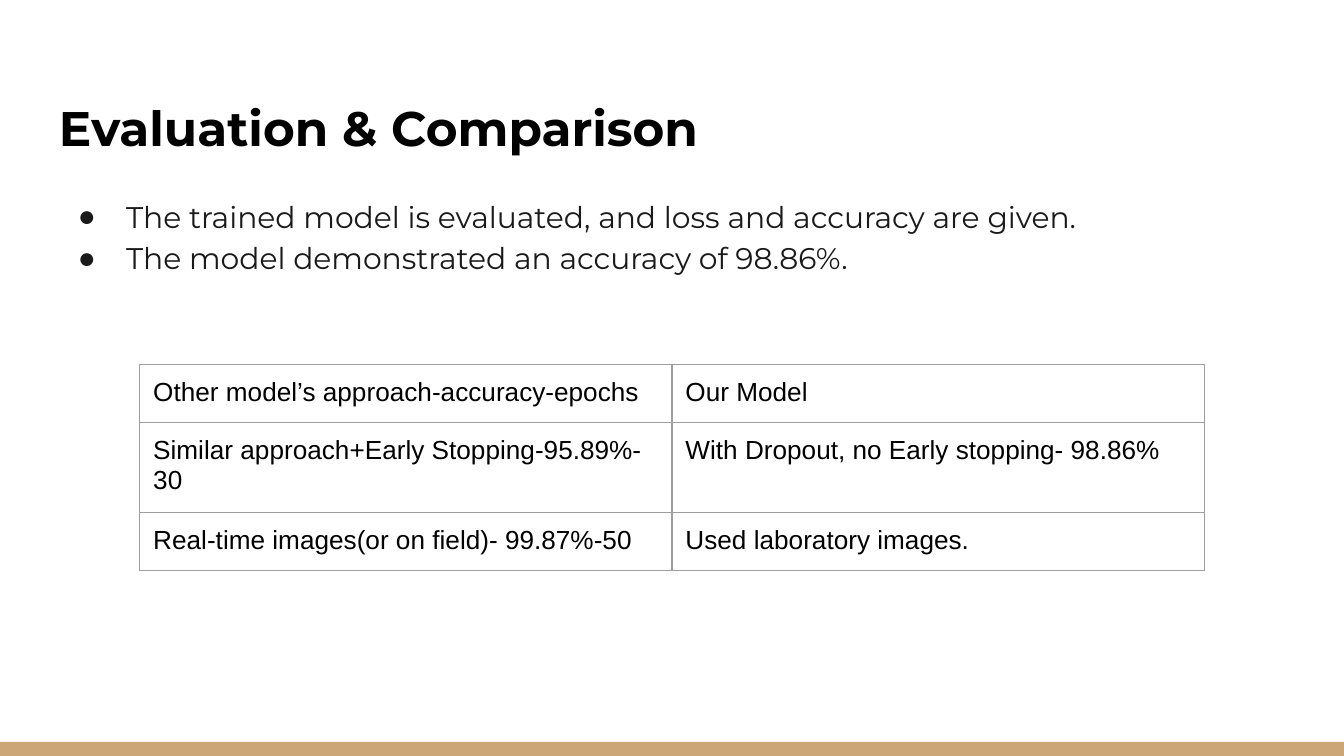
import pptx
import pptx.dml.color
import pptx.enum.shapes
import pptx.enum.text
import pptx.oxml
import pptx.oxml.ns
import pptx.util
from pptx.util import Inches

NAMESPACE = pptx.oxml.ns.nsdecls("a")
INSET = Inches(0.1)

BULLETS = [
    "The trained model is evaluated, and loss and accuracy are given.",
    "The model demonstrated an accuracy of 98.86%.",
]
COMPARISON = [
    ("Other model’s approach-accuracy-epochs", "Our Model"),
    ("Similar approach+Early Stopping-95.89%-30", "With Dropout, no Early stopping- 98.86%"),
    ("Real-time images(or on field)- 99.87%-50", "Used laboratory images."),
]
# Minimum heights: rows grow to fit their text
ROW_HEIGHTS = [0.22, 0.42, 0.42]


def color(value):
    return pptx.dml.color.RGBColor.from_string(value)


def write(paragraph, text, size, font="Montserrat", fill="000000", bold=False, spacing=None):
    paragraph.line_spacing = spacing
    run = paragraph.add_run()
    run.text = text
    run.font.size = pptx.util.Pt(size)
    run.font.name = font
    run.font.bold = bold
    run.font.color.rgb = color(fill)


def add_text_frame(slide, left, top, width, height):
    box = slide.shapes.add_textbox(Inches(left), Inches(top), Inches(width), Inches(height))
    frame = box.text_frame
    frame.word_wrap = True
    frame.margin_left = frame.margin_right = frame.margin_top = frame.margin_bottom = INSET
    return frame


def add_bullet(paragraph, fill):
    properties = paragraph._p.get_or_add_pPr()
    properties.set("marL", str(Inches(0.5)))
    properties.set("indent", str(Inches(-0.36)))
    for xml in (
        f'<a:buClr {NAMESPACE}><a:srgbClr val="{fill}"/></a:buClr>',
        f'<a:buFont {NAMESPACE} typeface="Arial"/>',
        f'<a:buChar {NAMESPACE} char="●"/>',
    ):
        properties.append(pptx.oxml.parse_xml(xml))


def add_borders(cell, fill, width):
    properties = cell._tc.get_or_add_tcPr()
    for side in ("lnL", "lnR", "lnT", "lnB"):
        properties.append(pptx.oxml.parse_xml(
            f'<a:{side} {NAMESPACE} w="{pptx.util.Pt(width)}"><a:solidFill>'
            f'<a:srgbClr val="{fill}"/></a:solidFill></a:{side}>'))


def add_footer_band(slide, left, top, width, height):
    band = slide.shapes.add_shape(pptx.enum.shapes.MSO_SHAPE.RECTANGLE,
                                  Inches(left), Inches(top), Inches(width), Inches(height))
    band.shadow.inherit = False
    band.fill.solid()
    band.fill.fore_color.rgb = color("CCA677")
    band.line.fill.background()


def add_title(slide, left, top, width, height):
    frame = add_text_frame(slide, left, top, width, height)
    frame.vertical_anchor = pptx.enum.text.MSO_ANCHOR.BOTTOM
    write(frame.paragraphs[0], "Evaluation & Comparison", 26, bold=True)


def add_findings(slide, left, top, width, height):
    frame = add_text_frame(slide, left, top, width, height)
    for index, text in enumerate(BULLETS):
        paragraph = frame.add_paragraph() if index else frame.paragraphs[0]
        write(paragraph, text, 16, fill="1A1A1A", spacing=1.15)
        add_bullet(paragraph, "1A1A1A")


def add_comparison_table(slide, left, top, width):
    column_count = len(COMPARISON[0])
    table = slide.shapes.add_table(len(COMPARISON), column_count, Inches(left), Inches(top),
                                   Inches(width), Inches(sum(ROW_HEIGHTS))).table
    table.first_row = table.horz_banding = False
    for column in table.columns:
        column.width = Inches(width / column_count)
    for row, height, texts in zip(table.rows, ROW_HEIGHTS, COMPARISON):
        row.height = Inches(height)
        for cell, text in zip(row.cells, texts):
            cell.margin_left = cell.margin_right = cell.margin_top = cell.margin_bottom = INSET
            add_borders(cell, "9E9E9E", 0.75)
            cell.fill.background()
            write(cell.text_frame.paragraphs[0], text, 14, font="Arial")


def main():
    presentation = pptx.Presentation()
    # Widescreen, 16:9
    presentation.slide_width = Inches(10)
    presentation.slide_height = Inches(10 * 9 / 16)
    slide = presentation.slides.add_slide(presentation.slide_layouts[6])
    slide.background.fill.solid()
    slide.background.fill.fore_color.rgb = color("FFFFFF")

    add_footer_band(slide, 0, 5.52, 10, 0.11)
    add_title(slide, 0.34, 0.35, 9.32, 0.91)
    add_findings(slide, 0.34, 1.34, 9.32, 3.67)
    add_comparison_table(slide, 1.04, 2.71, 7.92)
    presentation.save("out.pptx")


if __name__ == "__main__":
    main()
